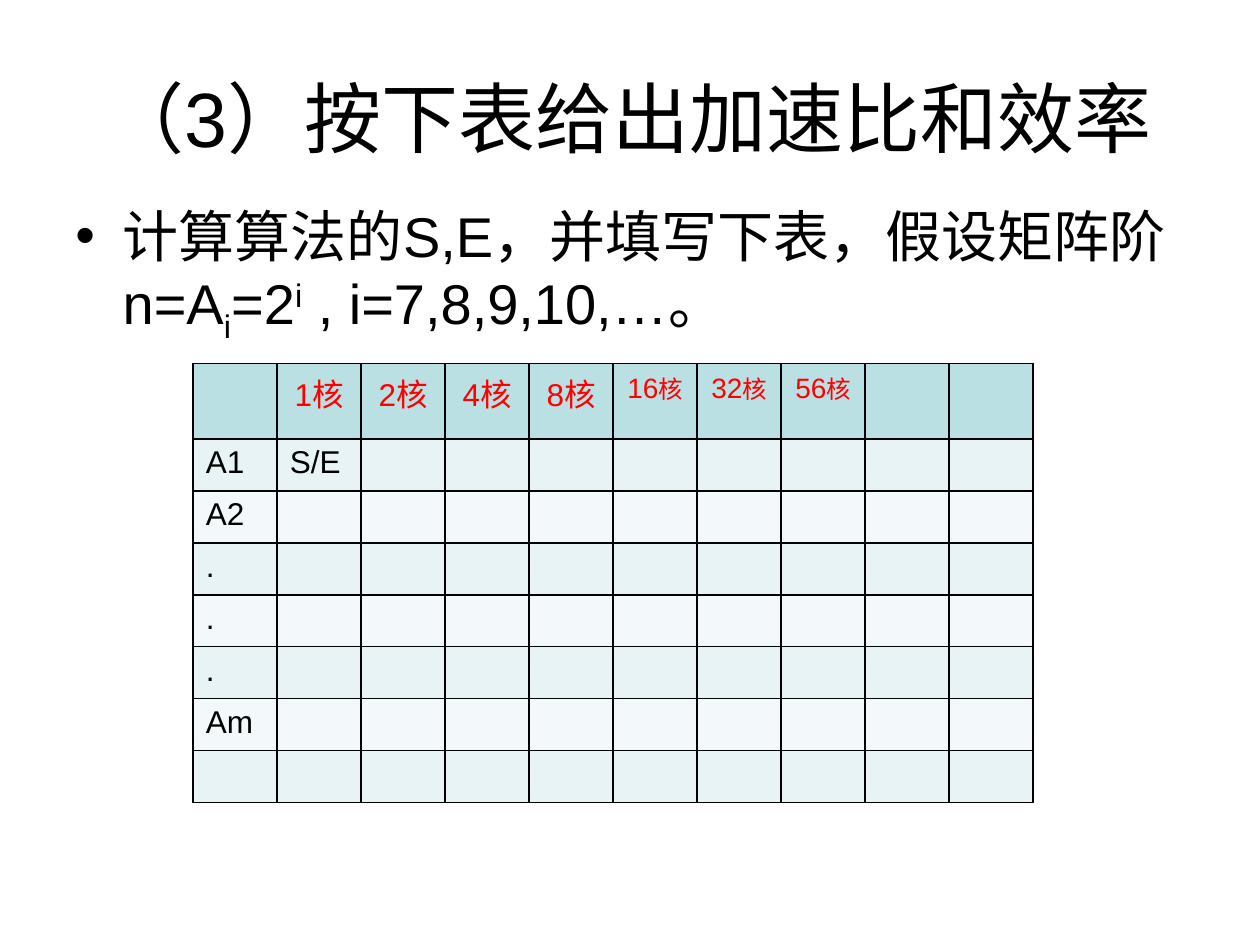
from dataclasses import dataclass
from typing import Any, NamedTuple

from lxml.etree import SubElement
from pptx import Presentation
from pptx.dml.color import RGBColor
from pptx.enum.text import MSO_ANCHOR, MSO_AUTO_SIZE, PP_ALIGN
from pptx.oxml.ns import qn
from pptx.util import Pt


@dataclass(frozen=True)
class Theme:
    font: str = "Arial"
    ink: str = "000000"
    accent: str = "FF0000"
    header: str = "BBE0E3"
    bands: tuple[str, str] = ("E7F3F4", "F3F9FA")
    title: int = 44
    body: int = 32
    cell: int = 18
    core_count: int = 16
    core_unit: int = 14


class Span(NamedTuple):
    text: str
    size: int
    color: str
    baseline: int = 0


class Box(NamedTuple):
    left: float
    top: float
    width: float
    height: float


THEME = Theme()
TITLE_BOX = Box(36, 21.6, 648, 90)
BODY_BOX = Box(36, 111.6, 648, 81.4)
TABLE_BOX = Box(110.4, 207.6, 480, 249.7)
COLUMN_COUNT = 10
HEADER_HEIGHT = 41.8
ROW_HEIGHT = 29.7
CORE_COUNTS = (1, 2, 4, 8, 16, 32, 56)
ROWS = (("A1", "S/E"), ("A2",), (".",), (".",), (".",), ("Am",), ())


def apply_format(target: Any, values: dict[str, Any]) -> None:
    """Set each named attribute on the target."""
    for name, value in values.items():
        setattr(target, name, value)


def write_spans(para: Any, spans: list[Span]) -> None:
    """Add formatted runs to a paragraph."""
    for span in spans:
        run = para.add_run()
        run.text = span.text
        apply_format(run.font, {"name": THEME.font, "size": Pt(span.size)})
        run.font.color.rgb = RGBColor.from_string(span.color)
        if span.baseline:
            run.font._element.set("baseline", str(span.baseline * 1000))


def place(shape: Any, box: Box) -> None:
    """Move and size a shape in points."""
    apply_format(shape, {name: Pt(value) for name, value in box._asdict().items()})


def add_title(page: Any, text: str) -> None:
    """Fill and format the title placeholder."""
    title = page.shapes.title
    place(title, TITLE_BOX)
    frame = title.text_frame
    apply_format(frame, {"word_wrap": True, "auto_size": MSO_AUTO_SIZE.NONE,
                         "vertical_anchor": MSO_ANCHOR.MIDDLE})
    para = frame.paragraphs[0]
    para.alignment = PP_ALIGN.CENTER
    write_spans(para, [Span(text, THEME.title, THEME.ink)])


def add_bullet(page: Any, spans: list[Span]) -> None:
    """Add the bulleted task statement."""
    frame = page.shapes.add_textbox(*map(Pt, BODY_BOX)).text_frame
    frame.word_wrap = True
    para = frame.paragraphs[0]
    para.space_before = Pt(6.4)
    properties = para._p.get_or_add_pPr()
    properties.set("marL", str(Pt(27)))
    properties.set("indent", str(-Pt(27)))
    SubElement(properties, qn("a:buFont"), typeface=THEME.font)
    SubElement(properties, qn("a:buChar"), char="•")
    write_spans(para, spans)


def format_cell(cell: Any, fill: str) -> None:
    """Give a cell its black borders and its fill."""
    properties = cell._tc.get_or_add_tcPr()
    for side in ("lnL", "lnR", "lnT", "lnB"):
        line = SubElement(properties, qn(f"a:{side}"), w=str(Pt(1)))
        color = SubElement(line, qn("a:solidFill"))
        SubElement(color, qn("a:srgbClr"), val=THEME.ink)
    cell.fill.solid()
    cell.fill.fore_color.rgb = RGBColor.from_string(fill)


def core_spans(count: int) -> list[Span]:
    """Build a core-count heading, smaller for two digits."""
    if count < 10:
        return [Span(f"{count}核", THEME.cell, THEME.accent)]
    return [Span(str(count), THEME.core_count, THEME.accent),
            Span("核", THEME.core_unit, THEME.accent)]


def add_results_table(page: Any) -> None:
    """Add the speedup and efficiency table."""
    table = page.shapes.add_table(len(ROWS) + 1, COLUMN_COUNT, *map(Pt, TABLE_BOX)).table
    for column in table.columns:
        column.width = Pt(TABLE_BOX.width / COLUMN_COUNT)
    for index, row in enumerate(table.rows):
        row.height = Pt(ROW_HEIGHT if index else HEADER_HEIGHT)
        fill = THEME.bands[(index - 1) % 2] if index else THEME.header
        for cell in row.cells:
            format_cell(cell, fill)
    for column, count in enumerate(CORE_COUNTS, 1):
        para = table.cell(0, column).text_frame.paragraphs[0]
        para.alignment = PP_ALIGN.CENTER
        write_spans(para, core_spans(count))
    for index, texts in enumerate(ROWS, 1):
        for column, text in enumerate(texts):
            para = table.cell(index, column).text_frame.paragraphs[0]
            write_spans(para, [Span(text, THEME.cell, THEME.ink)])


def main() -> None:
    """Build and save the deck."""
    deck = Presentation()
    apply_format(deck, {"slide_width": Pt(720), "slide_height": Pt(540)})
    page = deck.slides.add_slide(deck.slide_layouts[5])
    add_title(page, "（3）按下表给出加速比和效率")
    parts = (("计算算法的S,E，并填写下表，假设矩阵阶n=A", 0), ("i", -25), ("=2", 0),
             ("i", 30), (" , i=7,8,9,10,…。", 0))
    add_bullet(page, [Span(text, THEME.body, THEME.ink, baseline) for text, baseline in parts])
    add_results_table(page)
    deck.save("out.pptx")


if __name__ == "__main__":
    main()
